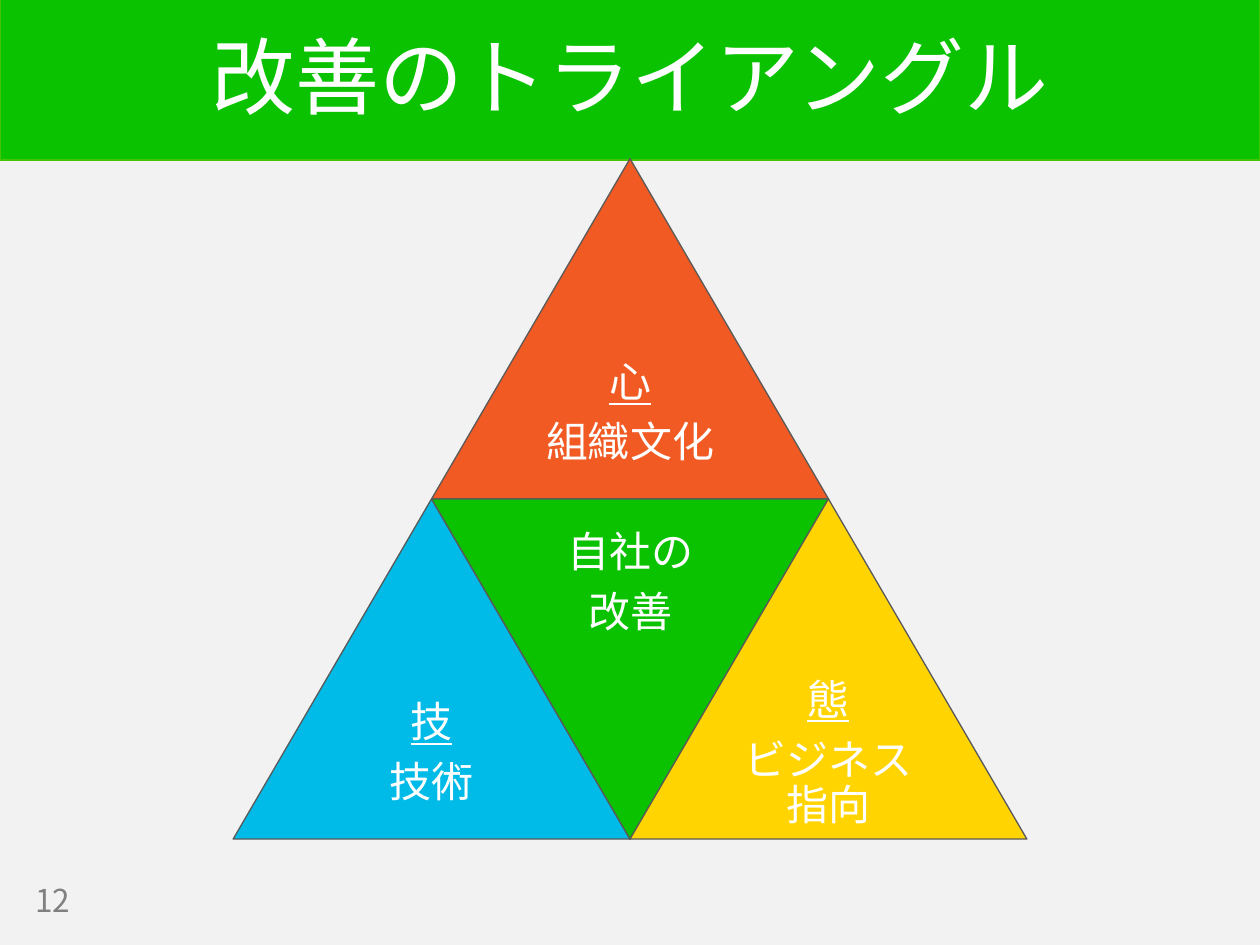
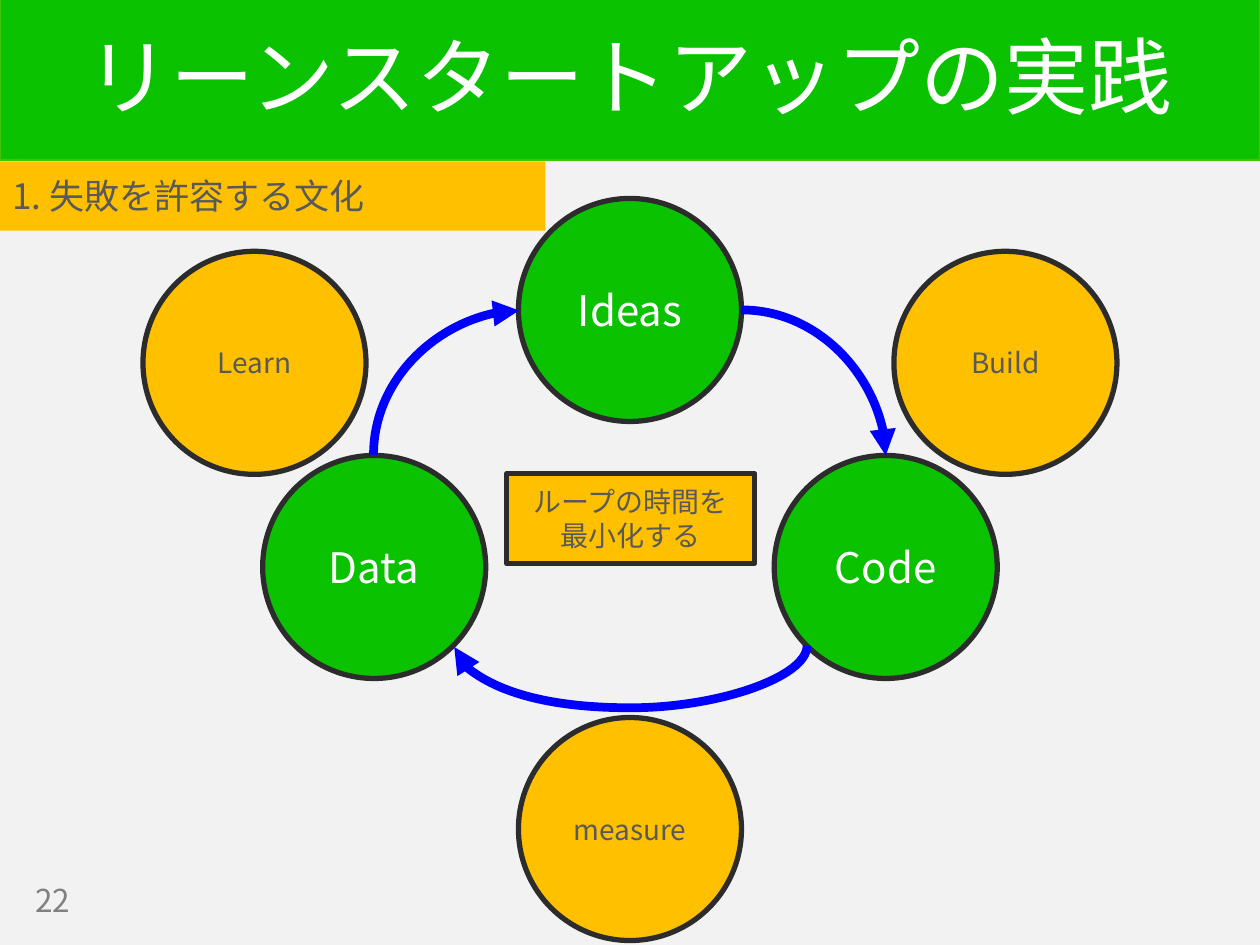
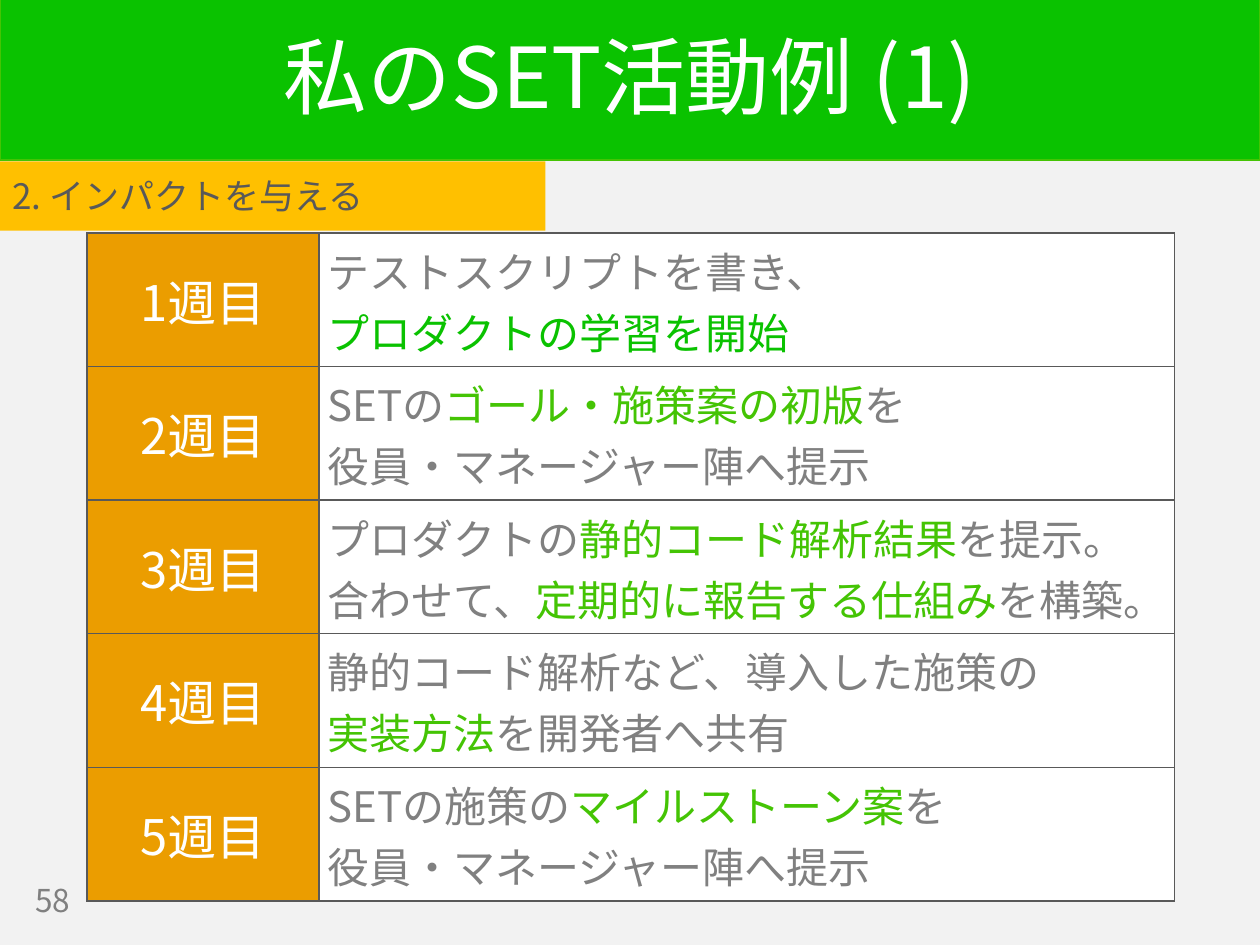
from dataclasses import dataclass

from lxml import etree
from pptx import Presentation
from pptx import util as u
from pptx.dml.color import RGBColor
from pptx.enum import shapes, text
from pptx.oxml.ns import qn


@dataclass(frozen=True)
class Theme:
    font: str = "Noto Sans CJK JP"
    paper: str = "F2F2F2"
    white: str = "FFFFFF"
    green: str = "0AC200"
    leaf: str = "44C404"
    amber: str = "FFC000"
    ochre: str = "EB9D00"
    orange: str = "F15A22"
    sky: str = "00BAE8"
    yellow: str = "FFD400"
    blue: str = "0000FF"
    ink: str = "595959"
    gray: str = "808080"
    outline: str = "2C2C2C"
    title: int = 48
    week: int = 28
    body: int = 24
    section: int = 20
    number: int = 18
    note: int = 16


T = Theme()
COLUMNS, ROWS = 10, 7.5
BAND_BOTTOM = 1.27
CENTER = COLUMNS / 2
SIDE, HEIGHT = 3.15, 2.7
CIRCLE = 1.77


def rgb(color):
    return RGBColor.from_string(color)


def grid(*lengths):
    return [u.Inches(length) for length in lengths]


def write(frame, paragraphs, size=T.body, color=T.white, align=text.PP_ALIGN.LEFT,
          leading=None, after=None, underlined=None):
    frame.word_wrap = True
    frame.vertical_anchor = text.MSO_ANCHOR.MIDDLE
    for index, parts in enumerate(paragraphs):
        paragraph = frame.add_paragraph() if index else frame.paragraphs[0]
        paragraph.alignment = align
        paragraph.line_spacing = leading
        if after is not None:
            paragraph.space_after = u.Pt(after)
        for part in [parts] if isinstance(parts, str) else parts:
            words, tint = (part, color) if isinstance(part, str) else part
            run = paragraph.add_run()
            run.text = words
            font = run.font
            font.size, font.name = u.Pt(size), T.font
            font.color.rgb = rgb(tint)
            font.underline = True if index == underlined else None
            etree.SubElement(run._r.get_or_add_rPr(), qn("a:ea"), typeface=T.font)


def label(slide, box, paragraphs, inset=0.05, **style):
    frame = slide.shapes.add_textbox(*grid(*box)).text_frame
    frame.margin_top = frame.margin_bottom = u.Inches(inset)
    write(frame, paragraphs, **style)


def block(slide, preset, box, fill, line=None, weight=0.75, paragraphs=(), **style):
    shape = slide.shapes.add_shape(preset, *grid(*box))
    shape.shadow.inherit = False
    shape.fill.solid()
    shape.fill.fore_color.rgb = rgb(fill)
    if line:
        shape.line.color.rgb = rgb(line)
        shape.line.width = u.Pt(weight)
    else:
        shape.line.fill.background()
    write(shape.text_frame, paragraphs, **style)
    return shape


def titled_slide(deck, title, number, section=None):
    slide = deck.slides.add_slide(deck.slide_layouts[6])
    rectangle = shapes.MSO_SHAPE.RECTANGLE
    block(slide, rectangle, (0, -0.01, COLUMNS, BAND_BOTTOM + 0.01), T.green, T.leaf, 1)
    label(slide, (0, 0.36, COLUMNS, 0.57), [title], size=T.title,
          align=text.PP_ALIGN.CENTER, leading=0.9)
    label(slide, (0.18, 6.95, 0.79, 0.39), [number], size=T.number, color=T.gray)
    if section:
        block(slide, rectangle, (0, 1.28, 4.33, 0.55), T.amber,
              paragraphs=[section], size=T.section, color=T.ink)
    return slide


def triangle(slide, left, top, fill, paragraphs, inverted=False):
    face = block(slide, shapes.MSO_SHAPE.ISOSCELES_TRIANGLE,
                 (left, top, SIDE, HEIGHT), fill, T.ink)
    face.rotation = 180 if inverted else 0
    text_top = top if inverted else top + HEIGHT / 2
    label(slide, (left + SIDE / 4, text_top, SIDE / 2, HEIGHT / 2), paragraphs,
          inset=0.1, align=text.PP_ALIGN.CENTER, leading=0.9, after=0.35 * T.body,
          underlined=None if inverted else 0)


def circle(slide, x, y, name, fill, size, color):
    block(slide, shapes.MSO_SHAPE.OVAL, (x - CIRCLE / 2, y - CIRCLE / 2, CIRCLE, CIRCLE),
          fill, T.outline, 3, [name], size=size, color=color, align=text.PP_ALIGN.CENTER)


def curved_arrow(slide, begin, end, preset, turn=0, bend=None):
    arrow = slide.shapes.add_connector(shapes.MSO_CONNECTOR.CURVE, *grid(*begin, *end))
    arrow.line.color.rgb = rgb(T.blue)
    arrow.line.width = u.Pt(5)
    properties = arrow._element.spPr
    properties.find(qn("a:xfrm")).set("rot", str(turn * 60000))
    geometry = properties.find(qn("a:prstGeom"))
    geometry.set("prst", preset)
    if bend:
        etree.SubElement(geometry.find(qn("a:avLst")), qn("a:gd"),
                         name="adj1", fmla=f"val {bend * 100000}")
    etree.SubElement(properties.find(qn("a:ln")), qn("a:tailEnd"), type="triangle")
    etree.SubElement(properties, qn("a:effectLst"))


def fill_cell(cell, fill, paragraphs, **style):
    properties = cell._tc.get_or_add_tcPr()
    for edge in ("lnL", "lnR", "lnT", "lnB"):
        border = etree.SubElement(properties, qn(f"a:{edge}"), w=str(u.Pt(1)))
        paint = etree.SubElement(border, qn("a:solidFill"))
        etree.SubElement(paint, qn("a:srgbClr"), val=T.ink)
    cell.fill.solid()
    cell.fill.fore_color.rgb = rgb(fill)
    cell.margin_left = cell.margin_right = u.Inches(0.07)
    cell.margin_top = cell.margin_bottom = u.Inches(0.05)
    write(cell.text_frame, paragraphs, **style)
    cell.vertical_anchor = text.MSO_ANCHOR.MIDDLE


def week_table(slide, weeks, left=0.69, top=1.85, widths=(1.84, 6.79), row=1.06):
    table = slide.shapes.add_table(
        len(weeks), 2, *grid(left, top, sum(widths), row * len(weeks))).table
    table.first_row = table.horz_banding = False
    for column, width in zip(table.columns, widths):
        column.width = u.Inches(width)
    for index, activity in enumerate(weeks):
        fill_cell(table.cell(index, 0), T.ochre, [f"{index + 1}週目"],
                  size=T.week, align=text.PP_ALIGN.CENTER)
        fill_cell(table.cell(index, 1), T.white, activity, color=T.gray)


def improvement_triangle(deck):
    slide = titled_slide(deck, "改善のトライアングル", "12")
    top = 1.26
    base = top + HEIGHT
    middle = CENTER - SIDE / 2
    triangle(slide, middle, top, T.orange, ["心", "組織文化"])
    triangle(slide, CENTER - SIDE, base, T.sky, ["技", "技術"])
    triangle(slide, middle, base, T.green, ["自社の", "改善"], inverted=True)
    triangle(slide, CENTER, base, T.yellow, ["態", "ビジネス指向"])


def lean_loop(deck):
    slide = titled_slide(deck, "リーンスタートアップの実践", "22", "1. 失敗を許容する文化")
    stage_offset, action_offset = 2.03, 2.98
    ideas_y, stage_y, action_y, measure_y = 2.46, 4.5, 2.88, 6.58
    stages = [("Ideas", 0, ideas_y), ("Code", stage_offset, stage_y),
              ("Data", -stage_offset, stage_y)]
    actions = [("measure", 0, measure_y), ("Learn", -action_offset, action_y),
               ("Build", action_offset, action_y)]
    for name, offset, y in actions:
        circle(slide, CENTER + offset, y, name, T.amber, T.note, T.ink)
    for name, offset, y in stages:
        circle(slide, CENTER + offset, y, name, T.green, T.body, T.white)

    left, right = CENTER - stage_offset, CENTER + stage_offset
    rim, stage_top = CIRCLE / 2, stage_y - CIRCLE / 2
    curved_arrow(slide, (CENTER - rim, stage_top), (left, ideas_y),
                 "curvedConnector2", turn=90)
    curved_arrow(slide, (CENTER + rim, ideas_y), (right, stage_top), "curvedConnector2")
    curved_arrow(slide, (CENTER, 3.73), (CENTER + 0.01, 6.53),
                 "curvedConnector3", turn=90, bend=50)
    block(slide, shapes.MSO_SHAPE.RECTANGLE, (4.02, 3.76, 1.97, 0.71), T.amber,
          T.outline, 3, ["ループの時間を", "最小化する"], size=T.note, color=T.ink,
          align=text.PP_ALIGN.CENTER)


def weekly_activities(deck):
    slide = titled_slide(deck, "私のSET活動例 (1)", "58", "2. インパクトを与える")
    week_table(slide, [
        ["テストスクリプトを書き、", [("プロダクトの学習を開始", T.green)]],
        [["SETの", ("ゴール・施策案の初版", T.leaf), "を"], "役員・マネージャー陣へ提示"],
        [["プロダクトの", ("静的コード解析結果", T.leaf), "を提示。"],
         ["合わせて、", ("定期的に報告する仕組み", T.leaf), "を構築。"]],
        ["静的コード解析など、導入した施策の", [("実装方法", T.leaf), "を開発者へ共有"]],
        [["SETの施策の", ("マイルストーン案", T.leaf), "を"], "役員・マネージャー陣へ提示"],
    ])


def main():
    deck = Presentation()
    deck.slide_width, deck.slide_height = grid(COLUMNS, ROWS)
    backdrop = deck.slide_master.background.fill
    backdrop.solid()
    backdrop.fore_color.rgb = rgb(T.paper)
    improvement_triangle(deck)
    lean_loop(deck)
    weekly_activities(deck)
    deck.save("out.pptx")


if __name__ == "__main__":
    main()
